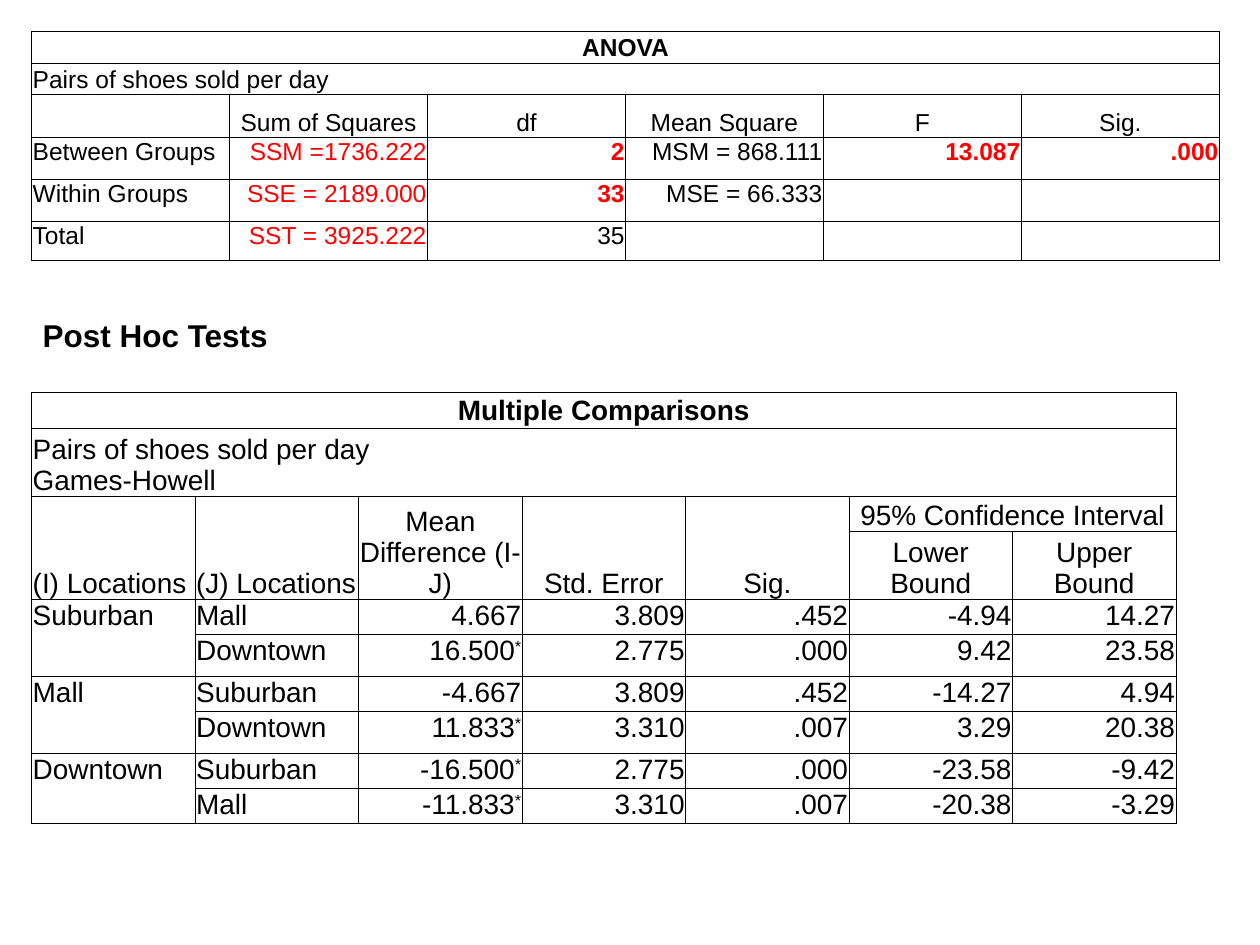
from lxml import etree
from pptx import Presentation
from pptx.dml.color import RGBColor
from pptx.enum import text
from pptx.oxml import ns
from pptx.util import Cm, Pt

BLACK = RGBColor(0, 0, 0)
RED = RGBColor(255, 0, 0)


def add_borders(cell):
    properties = cell._tc.get_or_add_tcPr()
    for position, side in enumerate(("lnL", "lnR", "lnT", "lnB")):
        line = etree.Element(ns.qn(f"a:{side}"), w=str(Pt(0.5)))
        fill = etree.SubElement(line, ns.qn("a:solidFill"))
        etree.SubElement(fill, ns.qn("a:srgbClr"), val=str(BLACK))
        properties.insert(position, line)


def add_grid(rows, left, top, column_width, heights, size, header_rows, label_columns, bordered=True):
    columns = len(rows[0])
    grid = slide.shapes.add_table(
        len(rows), columns, Cm(left), Cm(top), Cm(column_width * columns), Cm(sum(heights))
    ).table
    grid.first_row = grid.horz_banding = False
    for column in grid.columns:
        column.width = Cm(column_width)
    for r, (values, height) in enumerate(zip(rows, heights)):
        grid.rows[r].height = Cm(height)
        for c, value in enumerate(values):
            cell = grid.cell(r, c)
            cell.margin_left = cell.margin_right = cell.margin_top = Cm(0.02)
            cell.margin_bottom = 0
            cell.fill.background()
            if bordered:
                add_borders(cell)
            if r == 0:
                cell.vertical_anchor = text.MSO_ANCHOR.MIDDLE
            elif r < header_rows:
                cell.vertical_anchor = text.MSO_ANCHOR.BOTTOM
            if not value:
                continue
            number, star, _ = value.partition("*")
            cell.text_frame.text = number
            paragraph = cell.text_frame.paragraphs[0]
            if star:
                superscript = paragraph.add_run()
                superscript.text = star
                superscript._r.get_or_add_rPr().set("baseline", "30000")
            if r == 0 or (r < header_rows and c >= label_columns):
                paragraph.alignment = text.PP_ALIGN.CENTER
            elif c >= label_columns:
                paragraph.alignment = text.PP_ALIGN.RIGHT
            for run in paragraph.runs:
                run.font.name = "Arial"
                run.font.size = Pt(size)
                run.font.bold = r == 0
                run.font.color.rgb = BLACK
    return grid


prs = Presentation()
prs.slide_width = Cm(25.4)
prs.slide_height = Cm(19.05)
slide = prs.slides.add_slide(prs.slide_layouts[6])

anova_rows = [
    ["ANOVA"] + [""] * 5,
    ["Pairs of shoes sold per day"] + [""] * 5,
    ["", "Sum of Squares", "df", "Mean Square", "F", "Sig."],
    ["Between Groups", "SSM =1736.222", "2", "MSM = 868.111", "13.087", ".000"],
    ["Within Groups", "SSE = 2189.000", "33", "MSE = 66.333", "", ""],
    ["Total", "SST = 3925.222", "35", "", "", ""],
]
anova = add_grid(anova_rows, 0.64, 0.64, 3.99, [0.63, 0.63, 0.86, 0.85, 0.85, 0.71], 14, 3, 1)
for r in (0, 1):
    anova.cell(r, 0).merge(anova.cell(r, 5))
for r, c in ((3, 1), (4, 1), (5, 1), (3, 2), (4, 2), (3, 4), (3, 5)):
    font = anova.cell(r, c).text_frame.paragraphs[0].runs[0].font
    font.color.rgb = RED
    font.bold = c > 1

comparison_rows = [
    ["Multiple Comparisons"] + [""] * 6,
    ["Pairs of shoes sold per day\vGames-Howell"] + [""] * 6,
    ["(I) Locations", "(J) Locations", "Mean Difference (I-J)", "Std. Error", "Sig.",
     "95% Confidence Interval", ""],
    [""] * 5 + ["Lower Bound", "Upper Bound"],
    ["Suburban", "Mall", "4.667", "3.809", ".452", "-4.94", "14.27"],
    ["", "Downtown", "16.500*", "2.775", ".000", "9.42", "23.58"],
    ["Mall", "Suburban", "-4.667", "3.809", ".452", "-14.27", "4.94"],
    ["", "Downtown", "11.833*", "3.310", ".007", "3.29", "20.38"],
    ["Downtown", "Suburban", "-16.500*", "2.775", ".000", "-23.58", "-9.42"],
    ["", "Mall", "-11.833*", "3.310", ".007", "-20.38", "-3.29"],
]
comparison_heights = [0.71, 1.37, 0.71, 1.37, 0.71, 0.84, 0.71, 0.84, 0.71, 0.71]
comparisons = add_grid(comparison_rows, 0.64, 7.92, 3.295, comparison_heights, 16, 4, 2)
for r in (0, 1):
    comparisons.cell(r, 0).merge(comparisons.cell(r, 6))
for c in range(5):
    comparisons.cell(2, c).merge(comparisons.cell(3, c))
comparisons.cell(2, 5).merge(comparisons.cell(2, 6))
for r in (4, 6, 8):
    comparisons.cell(r, 0).merge(comparisons.cell(r + 1, 0))

post_hoc = add_grid([["Post Hoc Tests"]], 0.84, 6.35, 4.88, [0.79], 18, 1, 1, bordered=False)
post_hoc.cell(0, 0).vertical_anchor = text.MSO_ANCHOR.BOTTOM
post_hoc.cell(0, 0).text_frame.paragraphs[0].alignment = text.PP_ALIGN.LEFT

prs.save("out.pptx")
